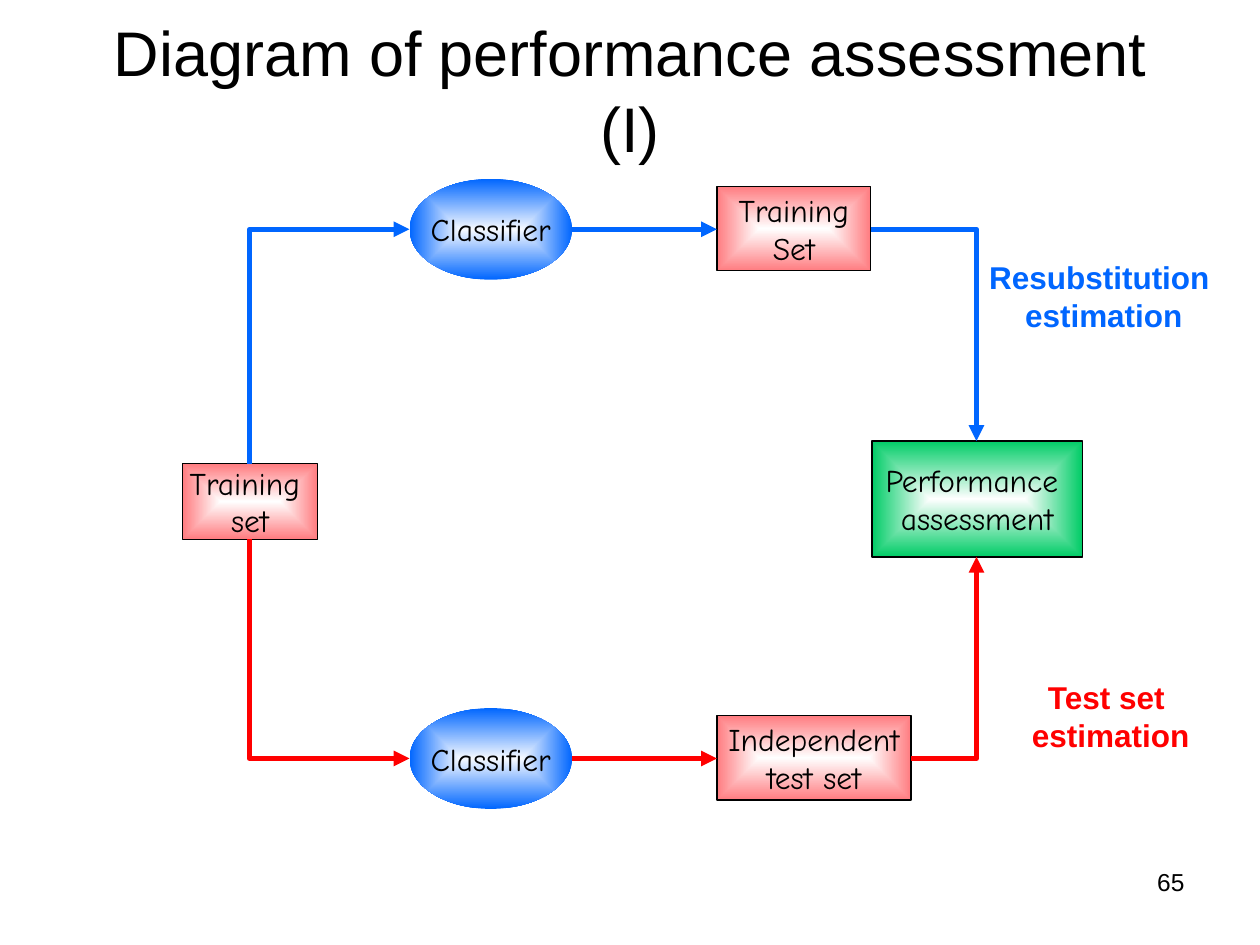
"""Build the performance assessment diagram slide."""
from lxml import etree
from pptx import Presentation
from pptx.dml.color import RGBColor
from pptx.enum import shapes, text
from pptx.oxml.ns import qn
from pptx.util import Inches, Pt

BLACK = RGBColor(0, 0, 0)
WHITE = RGBColor(255, 255, 255)
PALE = RGBColor(0xF7, 0xFA, 0xFF)
BLUE = RGBColor(0, 0x66, 0xFF)
RED = RGBColor(255, 0, 0)
PINK = RGBColor(0xFF, 0x7C, 0x80)
GREEN = RGBColor(0, 0xCC, 0x66)

BOX = shapes.MSO_SHAPE.FLOWCHART_PROCESS
OVAL = shapes.MSO_SHAPE.OVAL
MID = text.MSO_ANCHOR.MIDDLE
TOP = text.MSO_ANCHOR.TOP
HAND = "Comic Neue"

TITLE = "Diagram of performance assessment (I)"
NODES = [
    (BOX, "Training \nset", (1.45, 3.68, 1.07, 0.6), PINK),
    (BOX, "Performance \nassessment", (6.92, 3.5, 1.67, 0.92), GREEN),
    (BOX, "Training\nSet", (5.69, 1.48, 1.22, 0.67), PINK),
    (BOX, "Independent\ntest set", (5.69, 5.68, 1.54, 0.67), PINK),
    (OVAL, "Classifier", (3.25, 1.42, 1.29, 0.8), BLUE),
    (OVAL, "Classifier", (3.25, 5.62, 1.29, 0.8), BLUE),
]
NOTES = [
    ("Resubstitution \nestimation", (7.75, 2, 2.02, 0.7), BLUE),
    ("Test set \nestimation", (8.09, 5.33, 1.45, 0.7), RED),
]
START, GOAL = 1.98, 7.75
PATHS = [
    (BLUE, 1.82, 3.68, 6.91, 3.5),
    (RED, 6.02, 4.28, 7.23, 4.42),
]


def write(frame, words, size=18, font="Arial", color=BLACK, bold=False,
          align=text.PP_ALIGN.CENTER, anchor=TOP, wrap=False):
    frame.text = words
    frame.auto_size = text.MSO_AUTO_SIZE.NONE
    frame.word_wrap = wrap
    frame.vertical_anchor = anchor
    for para in frame.paragraphs:
        para.alignment = align
        for run in para.runs:
            run.font.size = Pt(size)
            run.font.name = font
            run.font.bold = bold
            run.font.color.rgb = color


def shade(fill, core, edge):
    fill.gradient()
    for stop, color, pos in zip(fill.gradient_stops, (core, edge), (0, 1)):
        stop.color.rgb = color
        stop.position = pos
    lin = next(slide.shapes._spTree.iter(qn("a:lin")))
    path = etree.Element(qn("a:path"), path="rect")
    etree.SubElement(path, qn("a:fillToRect"),
                     {side: "50000" for side in "ltrb"})
    lin.getparent().replace(lin, path)


def link(kind, start, end, color, tip="tailEnd"):
    line = slide.shapes.add_connector(kind, *map(Inches, start + end))
    line.line.color.rgb = color
    line.line.width = Pt(3)
    props = line._element.spPr
    if kind == shapes.MSO_CONNECTOR.ELBOW:
        props.find(qn("a:prstGeom")).set("prst", "bentConnector2")
    etree.SubElement(props.find(qn("a:ln")), qn("a:" + tip), type="triangle")
    etree.SubElement(props, qn("a:effectLst"))


def label(words, at, **form):
    box = slide.shapes.add_textbox(*map(Inches, at))
    write(box.text_frame, words, **form)


deck = Presentation()
deck.slide_width, deck.slide_height = Inches(10), Inches(7.5)
slide = deck.slides.add_slide(deck.slide_layouts[5])

title = slide.shapes.title
title.left, title.top, title.width, title.height = map(
    Inches, (0.5, 0.42, 9, 0.58))
write(title.text_frame, TITLE, size=36, anchor=MID, wrap=True)

for kind, words, at, color in NODES:
    node = slide.shapes.add_shape(kind, *map(Inches, at))
    node.shadow.inherit = False
    shade(node.fill, PALE if kind == OVAL else WHITE, color)
    if kind == OVAL:
        node.line.fill.background()
    else:
        node.line.color.rgb = BLACK
        node.line.width = Pt(0.74)
    write(node.text_frame, words, font=HAND, anchor=MID)

BENT, FLAT = shapes.MSO_CONNECTOR.ELBOW, shapes.MSO_CONNECTOR.STRAIGHT
for color, row, base, side, stop in PATHS:
    link(BENT, (3.25, row), (START, base), color, tip="headEnd")
    link(FLAT, (4.54, row), (5.69, row), color)
    link(BENT, (side, row), (GOAL, stop), color)

for words, at, color in NOTES:
    label(words, at, color=color, bold=True)
label("65", (7.17, 6.83, 2.33, 0.52), size=14,
      align=text.PP_ALIGN.RIGHT, wrap=True)

deck.save("out.pptx")
